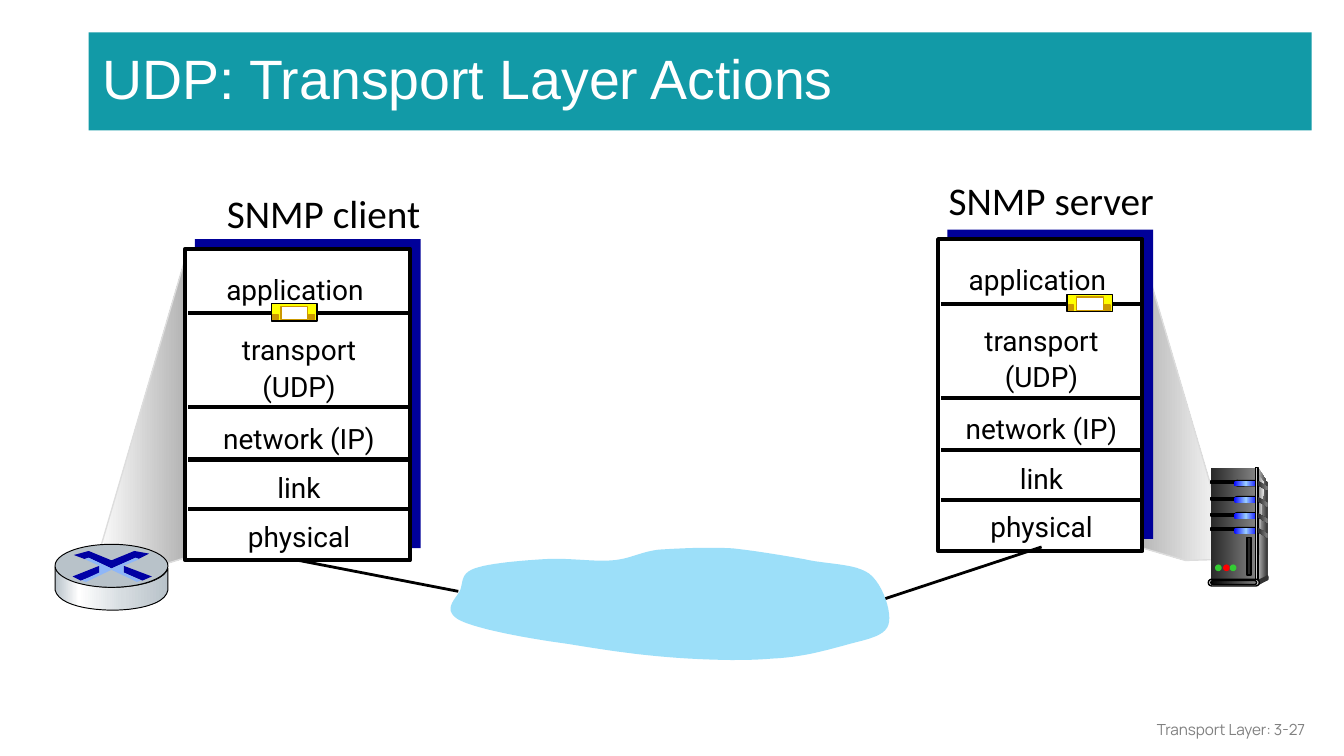
from lxml import etree
from pptx import Presentation
from pptx import util as u
from pptx.dml.color import RGBColor
from pptx.enum import shapes, text
from pptx.oxml.ns import qn

PX = 9144
RECT, PILL, OVAL = (shapes.MSO_SHAPE.RECTANGLE, shapes.MSO_SHAPE.ROUNDED_RECTANGLE,
                    shapes.MSO_SHAPE.OVAL)
LEFT, CENTER, RIGHT = text.PP_ALIGN.LEFT, text.PP_ALIGN.CENTER, text.PP_ALIGN.RIGHT

TITLE = "UDP: Transport Layer Actions"
FOOTER = "Transport Layer: 3-27"
HOSTS = {
    "client": dict(name="SNMP client", name_at=(159, 136, 166, 45), frame=(138, 185, 167),
                   packet=(202, 226)),
    "server": dict(name="SNMP server", name_at=(696, 126, 175, 45), frame=(698, 178, 152),
                   packet=(794, 219)),
}
LAYERS = [("application", 10, -2), ("transport\n(UDP)", 55, 1), ("network (IP)", 121, 1),
          ("link", 158, 1), ("physical", 194, 1)]
DIVIDERS = [48, 118, 157, 194]
LINKS = [((775, 407), (654, 447)), ((212, 415), (341, 440))]

DARK = [(0, "292929"), (100, "808080")]
BLUE_LIGHT = [(0, "0000FF"), (50, "99CCFF"), (100, "0000FF")]
METAL = [(0, "B8C2C9"), (21, "FFFFFF"), (60, "D6DCE0"), (100, "B8C2C9")]
SERVER_BEAM = [(917, 416), (847, 178), (844, 406), (882, 417)]
CLIENT_BEAM = [(70, 424), (140, 185), (138, 415), (106, 425)]
BAYS = [357, 369, 381, 392]
LAMPS = [(904, "33CC33"), (910, "FF0000"), (915, "33CC33")]

CLOUD = [(490, 409),
         [(475, 411), (469, 416), (455, 417)], [(441, 418), (423, 415), (406, 416)],
         [(389, 417), (364, 419), (353, 423)], [(342, 427), (345, 434), (342, 440)],
         [(339, 445), (333, 451), (336, 456)], [(338, 460), (343, 463), (358, 467)],
         [(372, 471), (399, 476), (422, 479)], [(446, 483), (472, 487), (498, 489)],
         [(523, 491), (553, 492), (575, 490)], [(597, 489), (614, 484), (629, 480)],
         [(643, 476), (658, 474), (661, 465)], [(664, 456), (657, 435), (647, 427)],
         [(636, 419), (615, 420), (598, 416)], [(581, 413), (563, 410), (545, 408)],
         [(527, 407), (505, 408), (490, 409)]]
ROUTER_SIDE = [(125, 423), (125, 439), [(123, 451), (98, 454), (84, 454)],
               [(69, 454), (44, 451), (41, 439)], (41, 422),
               [(45, 432), (69, 437), (83, 437)], [(97, 437), (121, 434), (125, 423)]]
ROUTER_MARKS = [
    ("0000A3", [(100, 410), (111, 412), (103, 416), (101, 415), (83, 423), (66, 415),
                (63, 416), (55, 413), (66, 410), (83, 417)]),
    ("0000A3", [(92, 421), (113, 429), (106, 432), (92, 426)]),
    ("0000A8", [(74, 421), (74, 427), (60, 432), (54, 429)]),
    ("8EB6F8", [(63, 416), (66, 415), (83, 423), (101, 415), (104, 416), (92, 421), (92, 426),
                (105, 432), (102, 433), (83, 424), (64, 433), (61, 432), (74, 426), (74, 421)]),
]


def rgb(value):
    return RGBColor.from_string(value)


def style(sp, fill, line=None, width=0.75):
    sp.shadow.inherit = False
    if isinstance(fill, str):
        sp.fill.solid()
        sp.fill.fore_color.rgb = rgb(fill)
    else:
        sp.fill.gradient()
        sp.fill.gradient_angle = 0
        stops = sp._element.spPr.find(qn("a:gradFill")).find(qn("a:gsLst"))
        for old in list(stops):
            stops.remove(old)
        for pos, value in fill:
            gs = etree.SubElement(stops, qn("a:gs"), pos=str(pos * 1000))
            etree.SubElement(gs, qn("a:srgbClr"), val=value)
    if line:
        sp.line.color.rgb = rgb(line)
        sp.line.width = u.Pt(width)
    else:
        sp.line.fill.background()


def shape(parent, kind, x, y, w, h, fill, line=None, width=0.75):
    sp = parent.add_shape(kind, x * PX, y * PX, w * PX, h * PX)
    if kind == PILL:
        sp.adjustments[0] = 0.5
    style(sp, fill, line, width)


def outline(parent, parts, fill, line=None, width=0.75):
    points = []
    for part in parts:
        if isinstance(part, tuple):
            points.append(part)
            continue
        curve = [points[-1], *part]
        for i in range(1, 13):
            t = i / 12
            weights = ((1 - t) ** 3, 3 * t * (1 - t) ** 2, 3 * t * t * (1 - t), t ** 3)
            points.append(tuple(sum(k * pt[axis] for k, pt in zip(weights, curve))
                                for axis in (0, 1)))
    start, *rest = [(round(x * PX), round(y * PX)) for x, y in points]
    builder = parent.build_freeform(*start, scale=1.0)
    builder.add_line_segments(rest, close=True)
    style(builder.convert_to_shape(), fill, line, width)


def rule(parent, start, end, width):
    ends = [v * PX for v in (*start, *end)]
    c = parent.add_connector(shapes.MSO_CONNECTOR.STRAIGHT, *ends)
    c.line.color.rgb = rgb("000000")
    c.line.width = u.Pt(width)
    etree.SubElement(c._element.spPr, qn("a:effectLst"))


def write(tf, content, size, font, color="000000", align=LEFT, spacing=None,
          anchor=text.MSO_ANCHOR.TOP, wrap=True):
    tf.word_wrap = wrap
    tf.vertical_anchor = anchor
    for i, words in enumerate(content.split("\n")):
        p = tf.paragraphs[0] if i == 0 else tf.add_paragraph()
        p.alignment = align
        if spacing:
            p.line_spacing = spacing
        r = p.add_run()
        r.text = words
        r.font.size = u.Pt(size)
        r.font.name = font
        r.font.color.rgb = rgb(color)


def label(parent, x, y, w, h, content, size, font, **fmt):
    tb = parent.add_textbox(x * PX, y * PX, w * PX, h * PX)
    write(tb.text_frame, content, size, font, **fmt)


def stack(parent, x, y, w):
    g = parent.add_group_shape().shapes
    shape(g, RECT, x + 7, y - 7, w + 1, 230, "000099")
    shape(g, RECT, x, y, w, 232, "FFFFFF", "000000", 2.25)
    for dy in DIVIDERS:
        rule(g, (x + 2, y + dy), (x + w, y + dy), 2.25)
    for name, dy, shift in LAYERS:
        height = 63 if "\n" in name else 35
        label(g, x + 9 + shift, y + dy, w - 18, height, name, 15, "Roboto",
              align=CENTER, spacing=1.1)


def packet(parent, x, y):
    g = parent.add_group_shape().shapes
    shape(g, RECT, x, y, 34, 13, "FFFF00", "000000")
    shape(g, RECT, x + 7, y + 2, 20, 10, "FFFFFF", "CC9900")
    for dx in (28, 1):
        shape(g, RECT, x + dx, y + 8, 4, 4, "CC9900", "CC9900")


def server_icon(parent):
    g = parent.add_group_shape().shapes
    outline(g, [(936, 348), (943, 359), (943, 429), (934, 432)],
            [(0, "DDDDDD"), (100, "333333")])
    shape(g, RECT, 901, 348, 33, 84, DARK)
    outline(g, [(936, 353), (941, 360), [(936, 391), (937, 431), (936, 430)]],
            [(0, "808080"), (100, "F8F8F8")])
    for y in BAYS:
        shape(g, RECT, 901, y + 1, 19, 2, "000000", "000000")
        shape(g, PILL, 918, y, 18, 5, "000000")
        shape(g, PILL, 918, y + 1, 18, 4, BLUE_LIGHT)
    shape(g, RECT, 934, 348, 2, 84, [(0, "333333"), (50, "DDDDDD"), (100, "333333")], "000000")
    for y in BAYS:
        outline(g, [(936, y + 1), (943, y + 5), (943, y + 8), (936, y + 4)], DARK)
    shape(g, OVAL, 942, 428, 2, 4, "333333")
    outline(g, [(935, 432), (935, 436), (943, 432), (943, 428)], "333333")
    shape(g, PILL, 899, 431, 38, 5, "DDDDDD", "000000")
    shape(g, PILL, 901, 432, 34, 3, [(0, "000000"), (100, "808080")], "000000")
    for x, color in LAMPS:
        shape(g, OVAL, x, 420, 5, 5, color)
    shape(g, RECT, 928, 400, 3, 28, "292929", "000000")


def router_icon(parent):
    g = parent.add_group_shape().shapes
    outline(g, ROUTER_SIDE, METAL, "000000", 0.5)
    shape(g, OVAL, 41, 405, 84, 32, "B8C2C9", "000000", 0.5)
    for color, points in ROUTER_MARKS:
        outline(g, points, color)


def main():
    prs = Presentation()
    prs.slide_width = 1000 * PX
    prs.slide_height = prs.slide_width * 9 // 16
    s = prs.slides.add_slide(prs.slide_layouts[5])
    top = s.shapes

    title = top.title
    title.left, title.top, title.width, title.height = (v * PX for v in (66, 24, 910, 73))
    title.fill.solid()
    title.fill.fore_color.rgb = rgb("129AA7")
    tf = title.text_frame
    tf.auto_size = text.MSO_AUTO_SIZE.NONE
    tf.margin_left = tf.margin_right = tf.margin_top = tf.margin_bottom = 10 * PX
    write(tf, TITLE, 29.7, "Arial", color="FFFFFF", spacing=0.9,
          anchor=text.MSO_ANCHOR.MIDDLE)

    outline(top, SERVER_BEAM, [(0, "B2B2B2"), (100, "FFFFFF")], "DDDDDD")
    server_icon(top)
    for host in HOSTS.values():
        label(top, *host["name_at"], host["name"], 21, "Calibri", wrap=False)
    stack(top, *HOSTS["server"]["frame"])
    for start, end in LINKS:
        rule(top, start, end, 1.5)
    outline(top, CLOUD, "9CDFF9")
    outline(top, CLIENT_BEAM, [(0, "FFFFFF"), (100, "B2B2B2")], "DDDDDD")
    stack(top, *HOSTS["client"]["frame"])
    router_icon(top)
    for host in HOSTS.values():
        packet(top, *host["packet"])
    label(top, 756, 528, 225, 30, FOOTER, 8.2, "Manrope", color="808080", align=RIGHT,
          anchor=text.MSO_ANCHOR.MIDDLE)
    prs.save("out.pptx")


if __name__ == "__main__":
    main()
